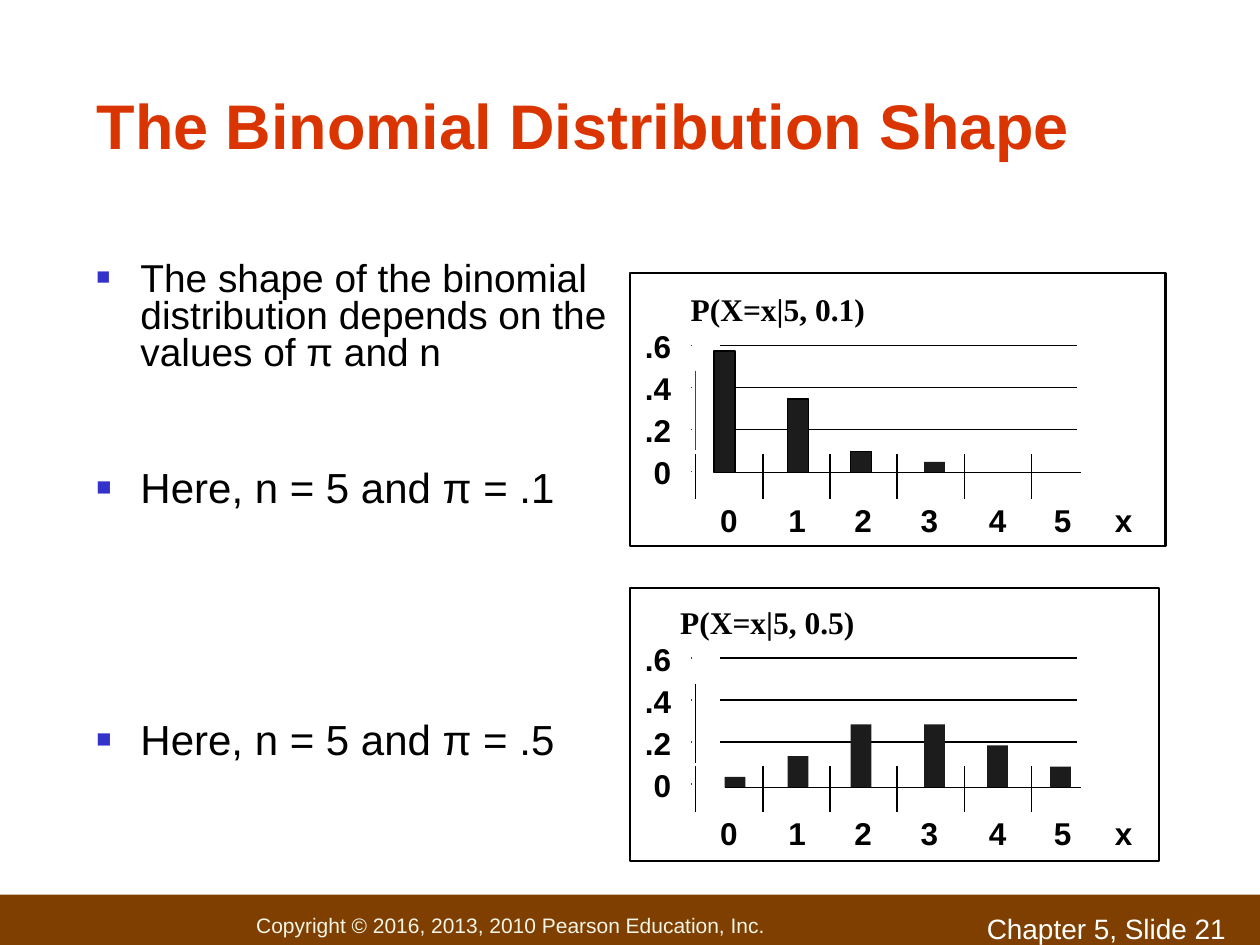
from lxml.etree import SubElement
from pptx import Presentation
from pptx.dml.color import RGBColor
from pptx.enum.shapes import MSO_CONNECTOR, MSO_SHAPE
from pptx.enum.text import MSO_ANCHOR, PP_ALIGN
from pptx.oxml.ns import qn
from pptx.util import Inches, Pt

BLACK = RGBColor(0x00, 0x00, 0x00)
WHITE = RGBColor(0xFF, 0xFF, 0xFF)
RED = RGBColor(0xDA, 0x34, 0x00)
BROWN = RGBColor(0x7E, 0x3F, 0x00)
CREAM = RGBColor(0xF3, 0xF5, 0xE7)
BLUE = RGBColor(0x33, 0x33, 0xCC)
CHARCOAL = RGBColor(0x1C, 0x1C, 0x1C)

HEADING = {"name": "Arial", "size": Pt(36), "bold": True}
AXIS = {"name": "Arial", "size": Pt(18), "bold": True}
FORMULA = {"name": "Times New Roman", "size": Pt(18), "bold": True}
POINT = {"name": "Arial", "size": Pt(24), "bold": False}
TIGHT_POINT = {**POINT, "size": Pt(22.2)}
PAGE = {"name": "Arial", "size": Pt(16), "bold": False}
COPYRIGHT = {"name": "Arial", "size": Pt(12), "bold": False}

deck = Presentation()
deck.slide_width, deck.slide_height = Inches(10), Inches(7.5)
slide = deck.slides.add_slide(deck.slide_layouts[5])
shapes = slide.shapes

# Grid of 120 columns by 90 rows
CELL = deck.slide_width / 120


def write(holder, at, text, style, color, align=PP_ALIGN.LEFT, wrap=True):
    """Place a text holder on the grid and return its formatted paragraph."""
    for side, cells in zip(("left", "top", "width", "height"), at):
        setattr(holder, side, round(cells * CELL))
    holder.text_frame.word_wrap = wrap
    paragraph = holder.text_frame.paragraphs[0]
    paragraph.alignment = align
    run = paragraph.add_run()
    run.text = text
    for key, value in style.items():
        setattr(run.font, key, value)
    run.font.color.rgb = color
    return paragraph


def rule(x1, y1, x2, y2, color=BLACK):
    """Draw a thin straight line between two grid points."""
    line = shapes.add_connector(
        MSO_CONNECTOR.STRAIGHT, *(round(v * CELL) for v in (x1, y1, x2, y2)))
    line.line.color.rgb = color
    line.line.width = Pt(1)
    SubElement(line._element.spPr, qn("a:effectLst"))


# Footer band with copyright and page
footer = shapes.add_shape(MSO_SHAPE.RECTANGLE, 0, 0, 0, 0)
footer.shadow.inherit = False
footer.fill.solid()
footer.fill.fore_color.rgb = BROWN
footer.line.fill.background()
write(footer, (0, 85.2, 120, 5.88),
      "Copyright © 2016, 2013, 2010 Pearson Education, Inc.", COPYRIGHT, CREAM)
footer.text_frame.margin_left = round(24.4 * CELL)
footer.text_frame.vertical_anchor = MSO_ANCHOR.MIDDLE
write(shapes.add_textbox(0, 0, 0, 0), (92.8, 86.2, 28, 3.1),
      "Chapter 5, Slide 21", PAGE, WHITE)

# Title
write(shapes.title, (8, 3, 104, 13), "The Binomial Distribution Shape", HEADING, RED)
shapes.title.text_frame.vertical_anchor = MSO_ANCHOR.BOTTOM

# Distribution panels: formula, its place, frame, baseline, axis color, bars
# Each bar is (column, height, outlined)
panels = [
    ("P(X=x|5, 0.1)", (64.6, 27), (60, 26, 51, 26), 45, 0, BLUE,
     [(68, 11.6, True), (75, 7, True), (81, 2, True), (88, 1, False)]),
    ("P(X=x|5, 0.5)", (63.6, 56.8), (60, 56, 50.4, 26), 75, 29.8, BLACK,
     [(69, 1, False), (75, 3, False), (81, 6, False),
      (88, 6, False), (94, 4, False), (100, 2, False)]),
]
x_labels = zip("012345x", (67.4, 73.9, 80.2, 86.5, 93, 99.2, 105))
x_labels = list(x_labels)

for formula, formula_at, frame_at, baseline, drop, axis_color, bars in panels:
    frame = shapes.add_shape(MSO_SHAPE.RECTANGLE, *(round(v * CELL) for v in frame_at))
    frame.shadow.inherit = False
    frame.fill.background()
    frame.line.color.rgb = BLACK
    frame.line.width = Pt(1.5)

    # Gridlines, value ticks and value labels, every four rows upward
    for step, value in enumerate(("0", ".2", ".4", ".6")):
        level = 44.9 + drop - 4 * step
        if step:
            rule(68.6, level, 102.6, level)
        rule(65.8, level, 65.9, level, BLUE)
        write(shapes.add_textbox(0, 0, 0, 0), (60.2, level - 2.3, 4.9, 4.8),
              value, AXIS, BLACK, PP_ALIGN.RIGHT, wrap=False)

    # Bars
    for column, height, outlined in bars:
        bar = shapes.add_shape(MSO_SHAPE.RECTANGLE, *(
            round(v * CELL) for v in (column, baseline - height, 2, height)))
        bar.shadow.inherit = False
        bar.fill.solid()
        bar.fill.fore_color.rgb = CHARCOAL
        if outlined:
            bar.line.color.rgb = BLACK
            bar.line.width = Pt(1)
        else:
            bar.line.fill.background()

    # Axes and category ticks
    rule(66.25, 35.3 + drop, 66.25, 42.9 + drop, axis_color)
    rule(69, baseline, 103, baseline)
    for tick in range(6):
        column = 66.25 + 6.4 * tick
        rule(column, 47.5 + drop, column, 43.2 + drop)

    # Category labels and formula
    for value, column in x_labels:
        write(shapes.add_textbox(0, 0, 0, 0), (column, 47.1 + drop, 4.1, 4.8),
              value, AXIS, BLACK, wrap=False)
    write(shapes.add_textbox(0, 0, 0, 0), (*formula_at, 19, 4.8),
          formula, FORMULA, BLACK, wrap=False)

# Bulleted points
points = [
    ((8, 24.4, 51, 15), TIGHT_POINT, 0.8,
     "The shape of the binomial distribution depends on the values of π and n"),
    ((8, 43.4, 52, 8), POINT, 1, "Here, n = 5 and π = .1"),
    ((8, 67.4, 47, 8), POINT, 1, "Here, n = 5 and π = .5"),
]
for at, style, spacing, text in points:
    point = write(shapes.add_textbox(0, 0, 0, 0), at, text, style, BLACK)
    point.line_spacing = spacing
    properties = point._p.get_or_add_pPr()
    properties.set("marL", str(Inches(0.35)))
    properties.set("indent", str(-Inches(0.35)))
    bullet_color = SubElement(properties, qn("a:buClr"))
    SubElement(bullet_color, qn("a:srgbClr"), val=str(BLUE))
    SubElement(properties, qn("a:buSzPct"), val="60000")
    SubElement(properties, qn("a:buFont"), typeface="Arial")
    SubElement(properties, qn("a:buChar"), char="■")

deck.save("out.pptx")
